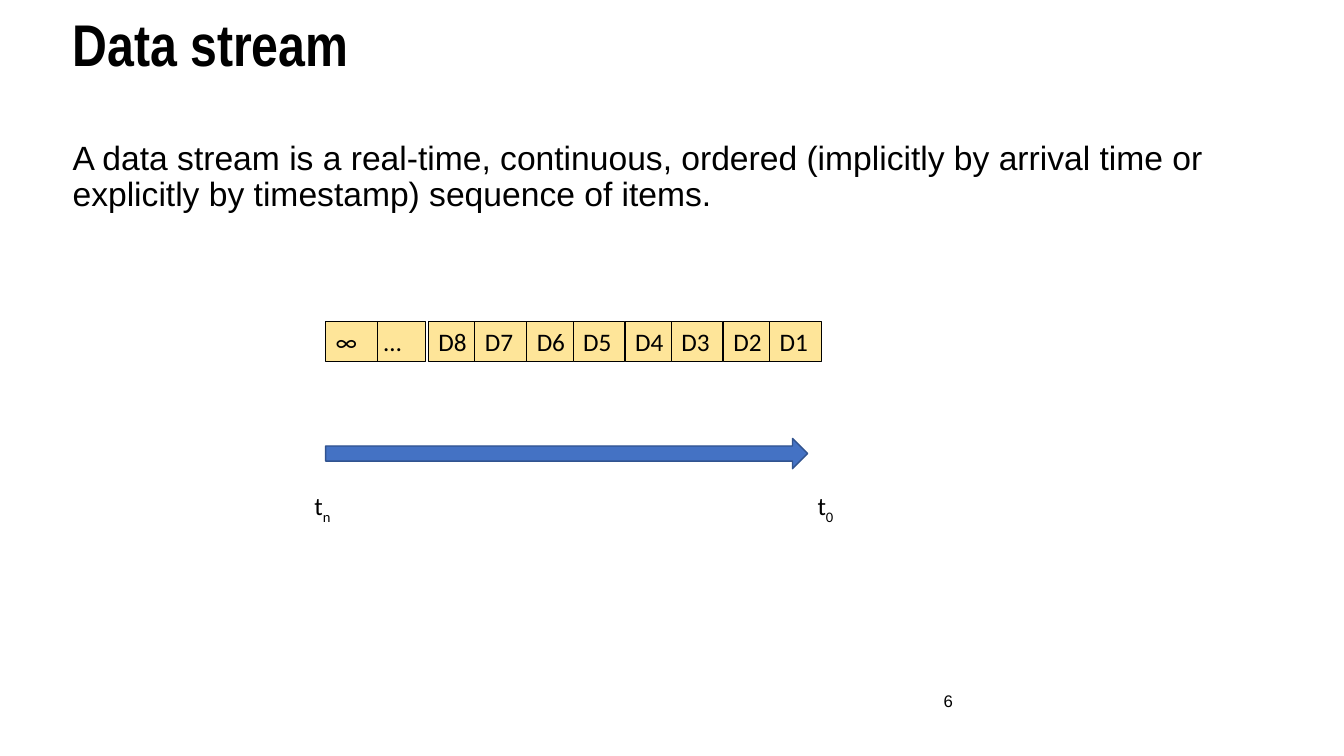
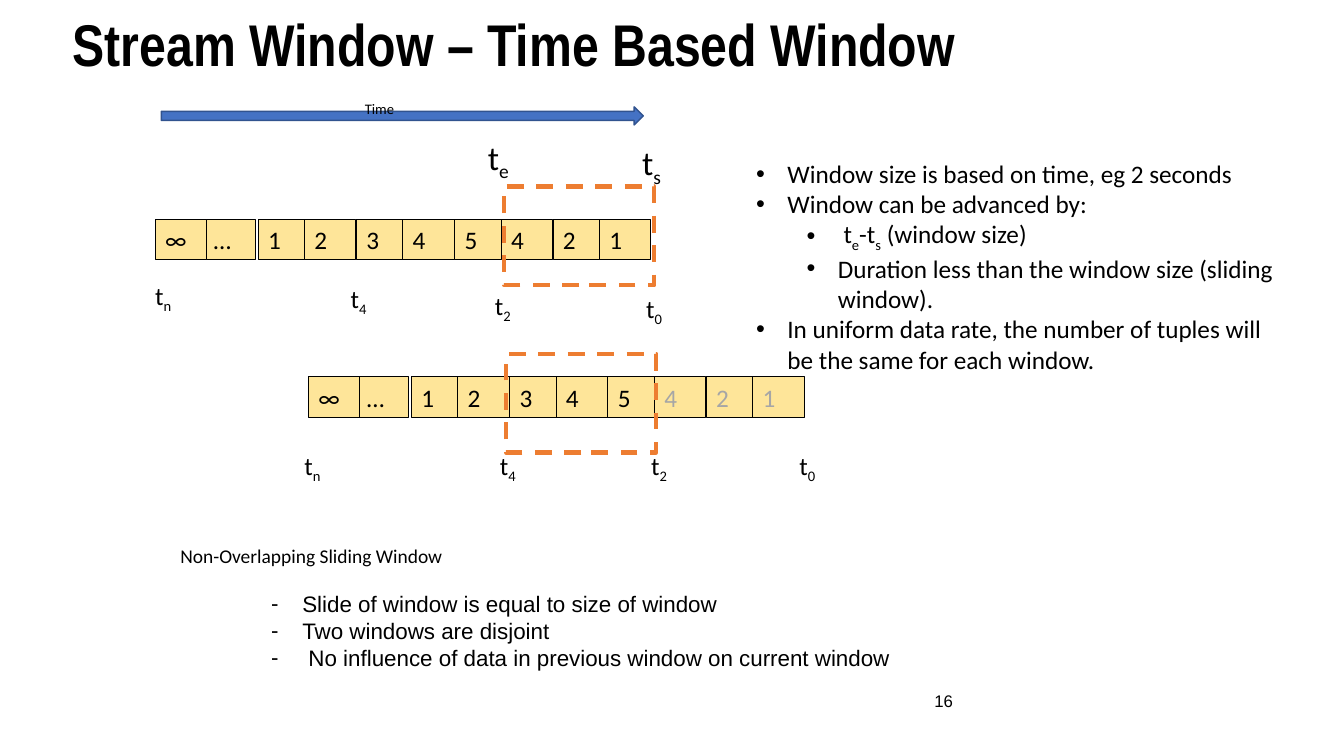
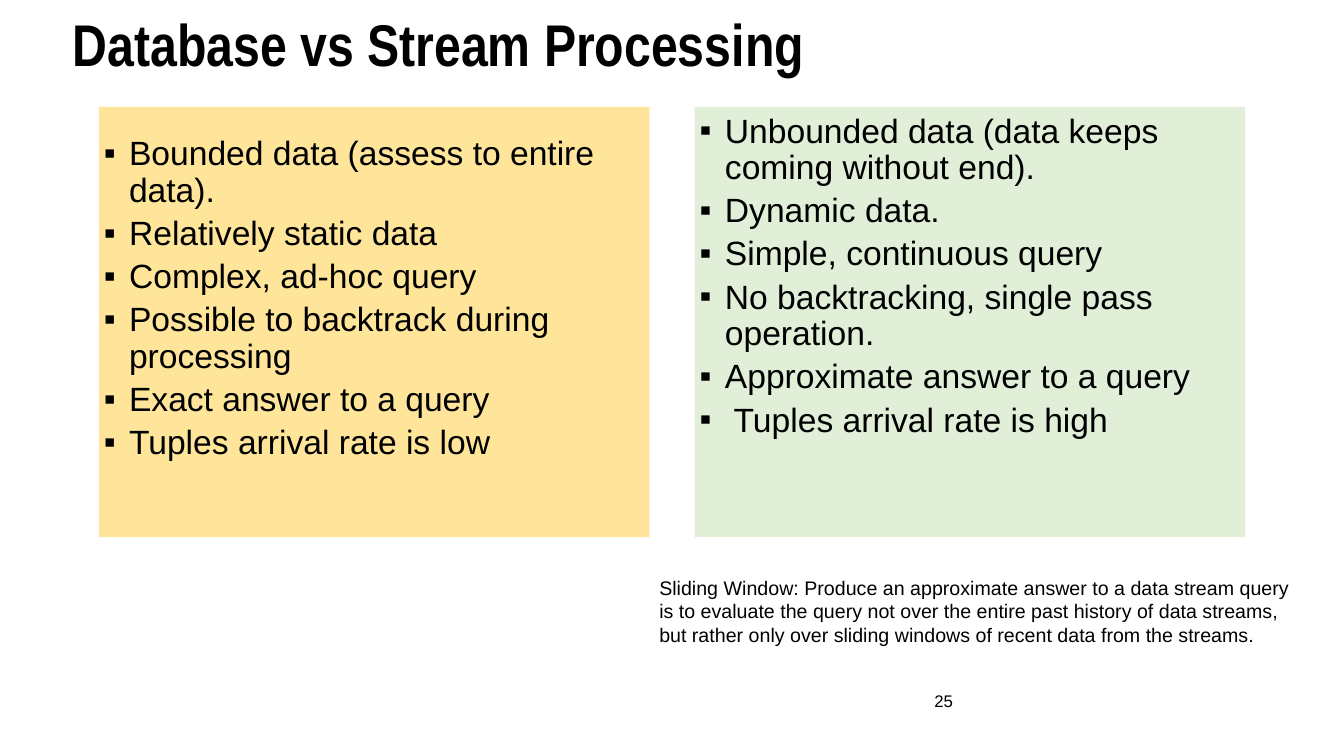
from lxml import etree
from pptx import Presentation
from pptx import util as u
from pptx.dml.color import RGBColor
from pptx.enum import dml, shapes, text
from pptx.oxml import ns

INK = {"black": "000000", "gray": "A6A6A6", "sand": "FEE599", "mint": "E1EFD8",
       "blue": "4472C4", "navy": "31538F", "orange": "ED7D31"}
INK = {name: RGBColor.from_string(code) for name, code in INK.items()}
RECT = shapes.MSO_SHAPE.RECTANGLE
ARROW = shapes.MSO_SHAPE.RIGHT_ARROW


def write(shape, at, lines, size, font="Calibri", color="black", mark=None,
          hang=0.31, lead=1.0, gap=0, pad=0.1):
    """Place a shape and fill it; parts between ~ signs become subscripts."""
    shape.left, shape.top, shape.width, shape.height = map(u.Inches, at)
    frame = shape.text_frame
    frame.word_wrap = True
    frame.auto_size = text.MSO_AUTO_SIZE.NONE
    frame.vertical_anchor = text.MSO_ANCHOR.TOP
    frame.margin_left = frame.margin_right = u.Inches(pad)
    frame.margin_top = frame.margin_bottom = u.Inches(0.05)
    for i, line in enumerate(lines):
        para = frame.add_paragraph() if i else frame.paragraphs[0]
        props = para._p.get_or_add_pPr()
        inset = u.Inches(hang) if mark else 0
        props.set("marL", str(inset))
        props.set("indent", str(-inset))
        if mark:
            etree.SubElement(props, ns.qn("a:buFont"), typeface="Arial")
            etree.SubElement(props, ns.qn("a:buChar"), char=mark)
        else:
            etree.SubElement(props, ns.qn("a:buNone"))
        para.alignment = text.PP_ALIGN.LEFT
        para.line_spacing = lead
        para.space_before = u.Pt(gap if i else 0)
        for j, part in enumerate(line.split("~")):
            if not part:
                continue
            run = para.add_run()
            run.text = part
            run.font.size = u.Pt(size)
            run.font.name = font
            run.font.color.rgb = INK[color]
            if j % 2:
                run._r.get_or_add_rPr().set("baseline", "-25000")
    return frame


def row(slide, left, top, names, dim=0):
    """Draw the stream cells, with the last dim ones in gray."""
    steps = [0, 0.48] + [1.02 + 0.975 * (i // 2) + 0.46 * (i % 2) for i in range(8)]
    cells = list(enumerate(zip(steps, names)))
    for i, (step, name) in cells[2:] + cells[1::-1]:
        cell = slide.shapes.add_shape(RECT, 0, 0, 0, 0)
        cell.shadow.inherit = False
        cell.fill.solid()
        cell.fill.fore_color.rgb = INK["sand"]
        cell.line.color.rgb = INK["black"]
        cell.line.width = u.Pt(0.75)
        write(cell, (left + step, top, 0.51, 0.4), [name], 18,
              color="gray" if i >= len(names) - dim else "black")


deck = Presentation()
deck.slide_width, deck.slide_height = u.Inches(13.33), u.Inches(7.5)

# Titles and page numbers
pages = []
for title, layout, num in [("Data stream", 1, "6"),
                           ("Stream Window – Time Based Window", 1, "16"),
                           ("Database vs Stream Processing", 3, "25")]:
    page = deck.slides.add_slide(deck.slide_layouts[layout])
    head = write(page.shapes.title, (0.67, 0.11, 12, 0.56), [title], 42,
                 "Arial Narrow", lead=0.9, pad=0.05)
    head.paragraphs[0].runs[0].font.bold = True
    foot = write(page.shapes.add_textbox(0, 0, 0, 0), (6.44, 6.75, 3.11, 0.4),
                 [num], 12, "Arial")
    foot.vertical_anchor = text.MSO_ANCHOR.MIDDLE
    foot.paragraphs[0].alignment = text.PP_ALIGN.RIGHT
    pages.append(page)
stream, window, versus = pages

# Time arrows
for page, at in [(stream, (3.23, 4.35, 4.78, 0.3)), (window, (1.6, 1.06, 4.78, 0.18))]:
    arrow = page.shapes.add_shape(ARROW, *map(u.Inches, at))
    arrow.shadow.inherit = False
    arrow.fill.solid()
    arrow.fill.fore_color.rgb = INK["blue"]
    arrow.line.color.rgb = INK["navy"]
    arrow.line.width = u.Pt(1)

# Lists and cells of the two stream slides
write(stream.placeholders[1], (0.67, 1.35, 12.13, 4.95),
      ["A data stream is a real-time, continuous, ordered (implicitly by arrival time "
       "or explicitly by timestamp) sequence of items."], 24, "Arial", lead=0.9, pad=0.05)
row(stream, 3.23, 3.19, ["∞", "…"] + [f"D{n}" for n in range(8, 0, -1)])

rules = write(window.placeholders[1], (7.4, 1.52, 5.33, 2.22),
              ["Window size is based on time, eg 2 seconds",
               "Window can be advanced by:",
               " t~e~-t~s~ (window size)",
               "Duration less than the window size (sliding window).",
               "In uniform data rate, the number of tuples will be the same for each window."],
              18, mark="•")
for para in rules.paragraphs[2:4]:
    para.level = 1
    para._p.pPr.set("marL", str(u.Inches(0.81)))

items = list("∞…12345421")
row(window, 1.54, 2.18, items)
row(window, 3.06, 3.74, items, dim=3)
for left, top in [(5, 1.85), (5.02, 3.51)]:
    span = window.shapes.add_shape(RECT, *map(u.Inches, (left, top, 1.49, 0.98)))
    span.shadow.inherit = False
    span.fill.background()
    span.line.color.rgb = INK["orange"]
    span.line.width = u.Pt(3)
    span.line.dash_style = dml.MSO_LINE.DASH

# Time labels
for page, sub, left, top, size in [
        (stream, "0", 8.01, 4.82, 18), (stream, "n", 3.02, 4.82, 18),
        (window, "0", 6.31, 2.86, 18), (window, "n", 1.44, 2.73, 18),
        (window, "2", 4.81, 2.83, 18), (window, "4", 3.38, 2.76, 18),
        (window, "e", 4.74, 1.31, 24), (window, "s", 6.27, 1.36, 24),
        (window, "0", 7.83, 4.42, 18), (window, "n", 2.92, 4.42, 18),
        (window, "4", 4.86, 4.42, 18), (window, "2", 6.36, 4.42, 18)]:
    width, height = (0.5, 0.5) if size == 24 else (0.42, 0.4)
    write(page.shapes.add_textbox(0, 0, 0, 0), (left, top, width, height),
          [f"t~{sub}~"], size)

# Notes beside the windows
write(window.shapes.add_textbox(0, 0, 0, 0), (3.52, 0.77, 1.13, 0.4), ["~Time~"], 18)
write(window.shapes.add_textbox(0, 0, 0, 0), (1.69, 5.12, 3.6, 1.35),
      ["~Non-Overlapping Sliding Window~"], 24)
write(window.shapes.add_textbox(0, 0, 0, 0), (2.59, 5.81, 7.58, 1.18),
      ["Slide of window is equal to size of window",
       "Two windows are disjoint",
       " No influence of data in previous window on current window"],
      16, "Arial", mark="-")

# Comparison panels
for slot, left, fill, base, lines in [
        (1, 0.98, "sand", 0.5,
         ["Bounded data (assess to entire data).", "Relatively static data",
          "Complex, ad-hoc query", "Possible to backtrack during processing",
          "Exact answer to a query", "Tuples arrival rate is low"]),
        (2, 6.89, "mint", 0.95,
         ["Unbounded data (data keeps coming without end).", "Dynamic data.",
          "Simple, continuous query", "No backtracking, single pass operation.",
          "Approximate answer to a query", " Tuples arrival rate is high"])]:
    panel = versus.placeholders[slot]
    panel.fill.solid()
    panel.fill.fore_color.rgb = INK[fill]
    frame = write(panel, (left, 1.06, 5.46, 4.27), lines, 24, "Arial",
                  mark="▪", hang=0.25, lead=0.9, gap=5, pad=0.05)
    frame.vertical_anchor = text.MSO_ANCHOR.MIDDLE
    frame.margin_bottom = u.Inches(base)

write(versus.shapes.add_textbox(0, 0, 0, 0), (6.44, 5.66, 6.61, 0.81),
      ["Sliding Window: Produce an approximate answer to a data stream query is to "
       "evaluate the query not over the entire past history of data streams, but rather "
       "only over sliding windows of recent data from the streams."], 14, "Arial")

deck.save("out.pptx")
